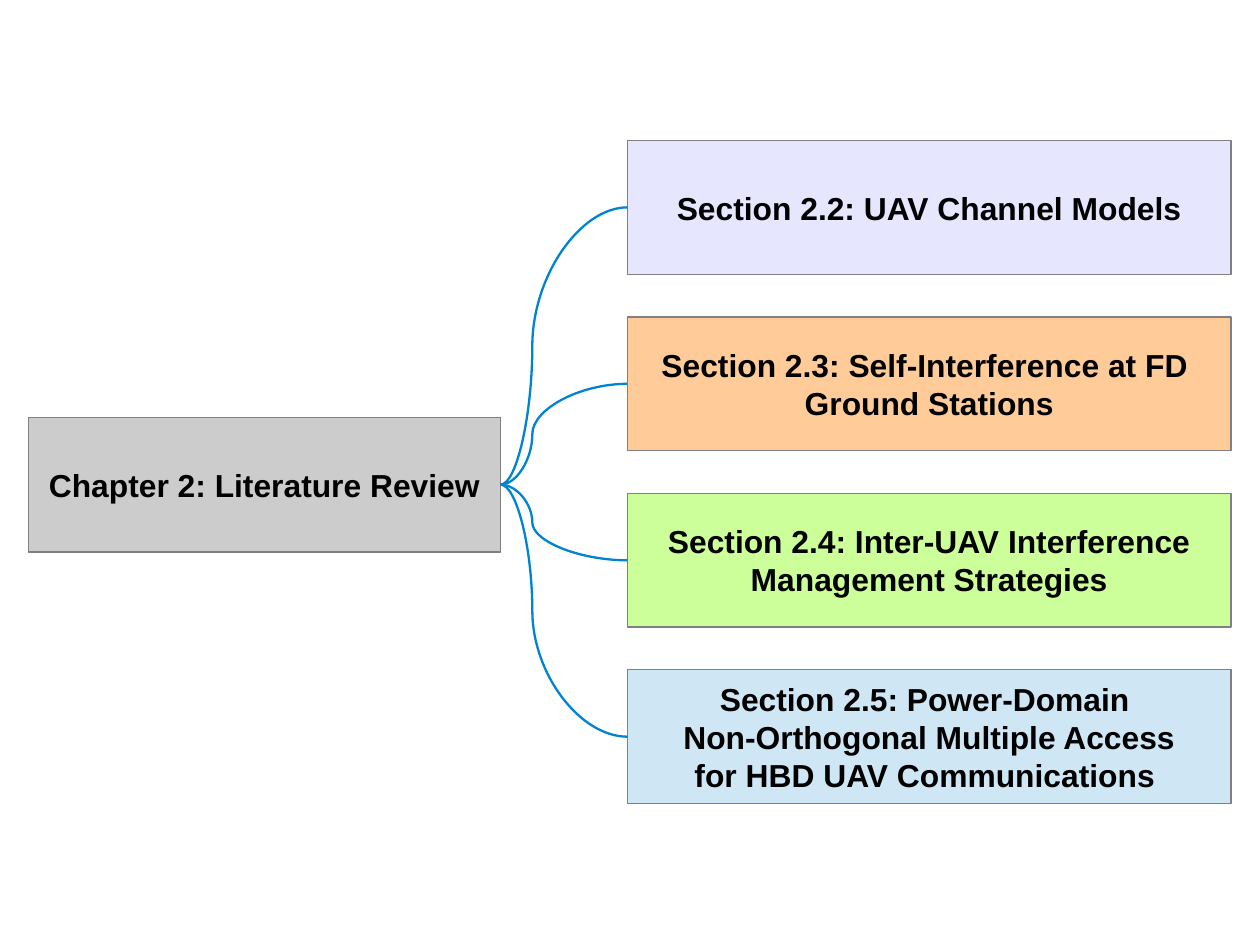
import pptx
import pptx.util
import pptx.dml.color
import pptx.enum.shapes
import pptx.enum.text
import lxml.etree
from pptx.util import Inches

COLORS = {
    "chapter": "CCCCCC",
    "channel": "E6E6FF",
    "self": "FFCC99",
    "inter": "CCFF99",
    "power": "CFE7F5",
    "edge": "808080",
    "link": "0084D1",
    "text": "000000",
}
SECTIONS = [
    ("channel", "Section 2.2: UAV Channel Models"),
    ("self", "Section 2.3: Self-Interference at FD \nGround Stations"),
    ("inter", "Section 2.4: Inter-UAV Interference\nManagement Strategies"),
    ("power", "Section 2.5: Power-Domain \nNon-Orthogonal Multiple Access\n"
              "for HBD UAV Communications "),
]
LEFT, TOP, LAST, WIDTH, HEIGHT = 5.49, 1.23, 5.86, 5.28, 1.17
STEP = (LAST - TOP) / (len(SECTIONS) - 1)
ROOT = (0.25, 3.65, 4.13, 1.18)
INCH = 2.54


def color(name):
    return pptx.dml.color.RGBColor.from_string(COLORS[name])


def add_box(slide, area, fill, text):
    box = slide.shapes.add_shape(
        pptx.enum.shapes.MSO_SHAPE.RECTANGLE, *map(Inches, area))
    box.shadow.inherit = False
    box.fill.solid()
    box.fill.fore_color.rgb = color(fill)
    box.line.color.rgb = color("edge")
    box.line.width = pptx.util.Pt(0)
    frame = box.text_frame
    frame.word_wrap = True
    frame.vertical_anchor = pptx.enum.text.MSO_ANCHOR.MIDDLE
    frame.text = text
    for line in frame.paragraphs:
        line.alignment = pptx.enum.text.PP_ALIGN.CENTER
        for run in line.runs:
            run.font.name = "Arial"
            run.font.size = pptx.util.Pt(20)
            run.font.bold = True
            run.font.color.rgb = color("text")


def add_curve(slide, start, end, bend):
    curve = slide.shapes.add_connector(
        pptx.enum.shapes.MSO_CONNECTOR.CURVE, *map(Inches, start + end))
    curve.line.color.rgb = color("link")
    curve.line.width = pptx.util.Pt(1.45)
    props = curve.element.spPr
    qn = pptx.oxml.ns.qn
    guides = props.find(qn("a:prstGeom")).get_or_add_avLst()
    lxml.etree.SubElement(
        guides, qn("a:gd"), name="adj1", fmla=f"val {int(bend * 100000)}")
    lxml.etree.SubElement(props, qn("a:effectLst"))


def main():
    """Draw the chapter box and its curved links to the section boxes."""
    deck = pptx.Presentation()
    deck.slide_width = Inches(28 / INCH)
    deck.slide_height = Inches(21 / INCH)
    slide = deck.slides.add_slide(deck.slide_layouts[6])
    add_box(slide, ROOT, "chapter", "Chapter 2: Literature Review")
    left, top, width, height = ROOT
    start = (left + width, top + height / 2)
    for row, (fill, text) in enumerate(SECTIONS):
        y = TOP + row * STEP
        add_box(slide, (LEFT, y, WIDTH, HEIGHT), fill, text)
        add_curve(slide, start, (LEFT, y + HEIGHT / 2), 0.25)
    deck.save("out.pptx")


if __name__ == "__main__":
    main()
